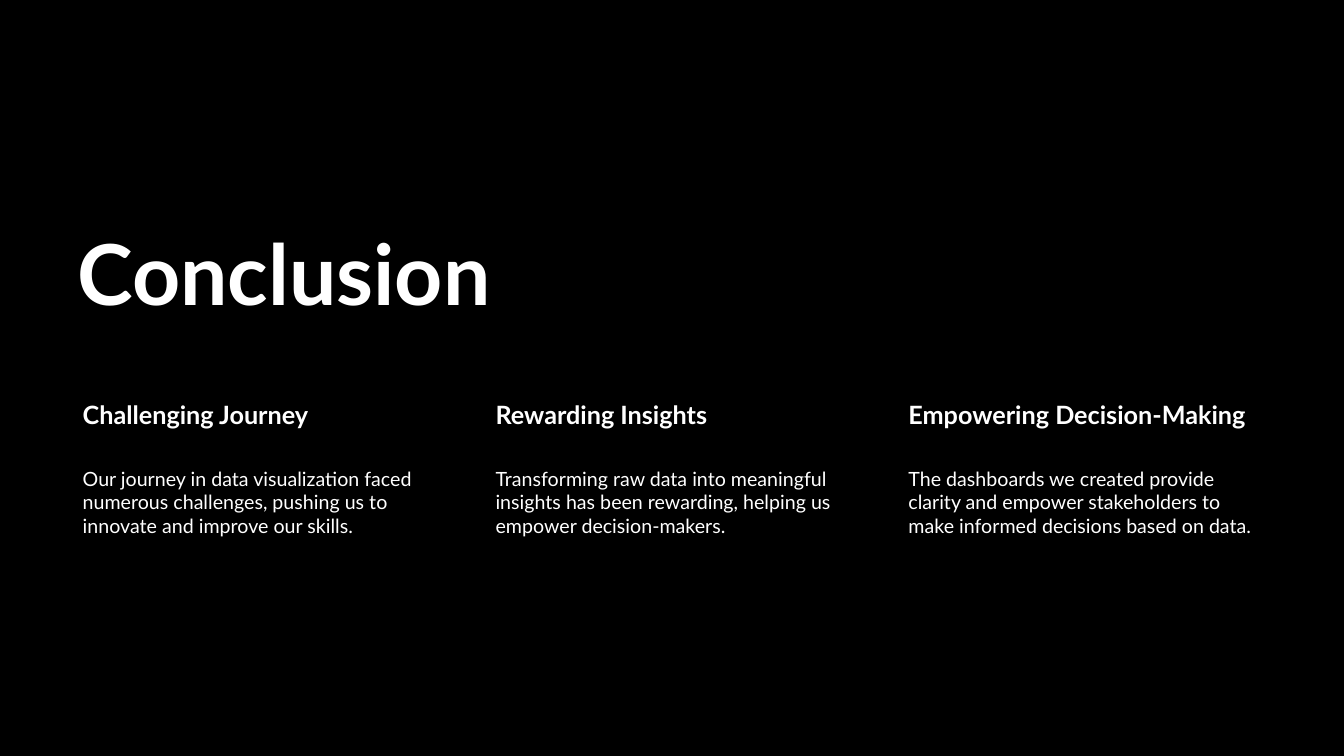
from pptx import Presentation
from pptx.dml.color import RGBColor as Color
from pptx.enum.text import MSO_ANCHOR as Anchor, MSO_AUTO_SIZE as AutoSize, PP_ALIGN as Align
from pptx.util import Inches, Pt

COLORS = {"background": "000000", "text": "FFFFFF"}
FONT = "Lato"
LEFT, COLUMN_WIDTH, COLUMN_STEP = 0.67, 3.72, 4.095
HEADING_TOP, HEADING_HEIGHT, BODY_HEIGHT = 3.93, 0.68, 2.06

COLUMNS = [
    ("Challenging Journey",
     "Our journey in data visualization faced numerous challenges, "
     "pushing us to innovate and improve our skills."),
    ("Rewarding Insights",
     "Transforming raw data into meaningful insights has been rewarding, "
     "helping us empower decision-makers."),
    ("Empowering Decision-Making",
     "The dashboards we created provide clarity and empower stakeholders "
     "to make informed decisions based on data."),
]


def write(paragraph, text, size, bold):
    paragraph.alignment = Align.LEFT
    run = paragraph.add_run()
    run.text = text
    run.font.name = FONT
    run.font.size = Pt(size)
    run.font.bold = bold
    run.font.color.rgb = Color.from_string(COLORS["text"])


presentation = Presentation()
presentation.slide_width = Inches(13.33)
presentation.slide_height = Inches(7.5)
slide = presentation.slides.add_slide(presentation.slide_layouts[5])
slide.background.fill.solid()
slide.background.fill.fore_color.rgb = Color.from_string(COLORS["background"])

title = slide.shapes.title
title.left, title.top = Inches(LEFT), Inches(2.02)
title.width, title.height = Inches(8.03), Inches(1.24)
title_frame = title.text_frame
title_frame.auto_size = AutoSize.NONE
title_frame.vertical_anchor = Anchor.BOTTOM
title_frame.paragraphs[0].line_spacing = 0.9
write(title_frame.paragraphs[0], "Conclusion", 60, True)

group = slide.shapes.add_group_shape()
for column, (heading, body) in enumerate(COLUMNS):
    left = LEFT + column * COLUMN_STEP
    blocks = [
        (heading, HEADING_TOP, HEADING_HEIGHT, 18, True, 0.03),
        (body, HEADING_TOP + HEADING_HEIGHT, BODY_HEIGHT, 14, False, 0.02),
    ]
    for text, top, height, size, bold, margin in blocks:
        box = group.shapes.add_textbox(
            Inches(left), Inches(top), Inches(COLUMN_WIDTH), Inches(height))
        frame = box.text_frame
        frame.word_wrap = True
        frame.vertical_anchor = Anchor.TOP
        frame.margin_left = Inches(0.15)
        frame.margin_top = frame.margin_right = frame.margin_bottom = Inches(margin)
        write(frame.paragraphs[0], text, size, bold)

presentation.save("out.pptx")
